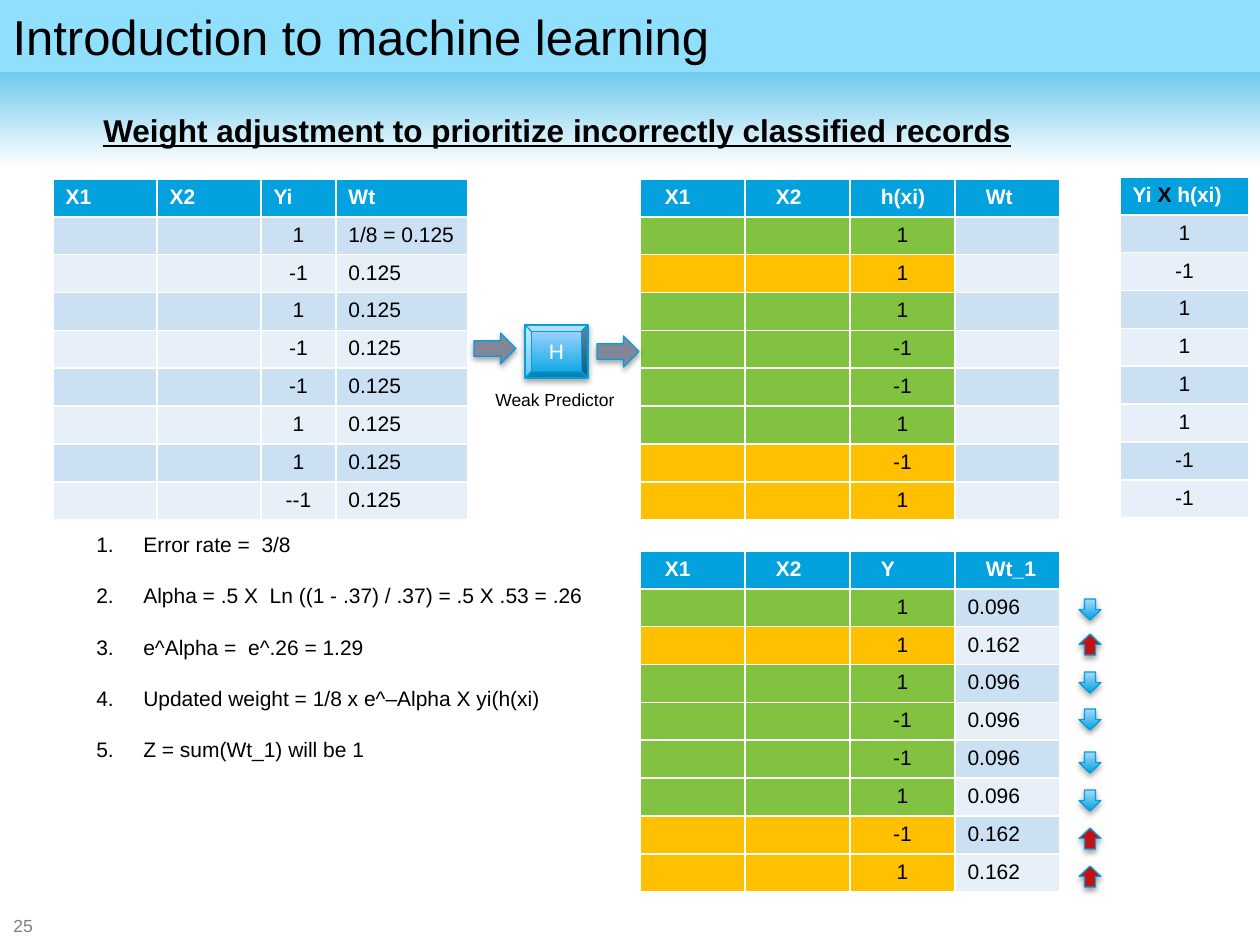
from lxml.etree import SubElement
from pptx import Presentation
from pptx.dml.color import RGBColor
from pptx.enum.shapes import MSO_SHAPE as Kind
from pptx.enum.text import MSO_ANCHOR as Anchor, MSO_AUTO_SIZE as Auto, PP_ALIGN as Align
from pptx.oxml.ns import qn
from pptx.util import Emu, Pt

SCALE = 914400 / 126
HEAD, DARK, LIGHT = "03A2DF", "CCE0F3", "E7F0F9"
RIGHT, WRONG = "81C240", "FFC000"
GLOSS = ("00A3E2", "ADD8FF")
ROWS = 9

LABELS = ["1", "-1", "1", "-1", "-1", "1", "1", "--1"]
GUESSES = ["1", "1", "1", "-1", "-1", "1", "-1", "1"]
PRODUCTS = ["1", "-1", "1", "1", "1", "1", "-1", "-1"]
WEIGHTS = ["0.096" if sign == "1" else "0.162" for sign in PRODUCTS]
ARROW_TOPS = [599, 634, 672, 709, 752, 790, 828, 866]
STEPS = [
    "Error rate =  3/8",
    "Alpha = .5 X  Ln ((1 - .37) / .37) = .5 X .53 = .26",
    "e^Alpha =  e^.26 = 1.29",
    "Updated weight = 1/8 x e^–Alpha X yi(h(xi)",
    "Z = sum(Wt_1) will be 1",
]


def px(num):
    return Emu(round(num * SCALE))


def rgb(code):
    return RGBColor.from_string(code)


def style(run, size, color="000000", bold=False):
    font = run.font
    font.name, font.size, font.bold = "Arial", Pt(size), bold
    font.color.rgb = rgb(color)


def blend(fill, colors, angle):
    """Linear gradient; the angle runs counter-clockwise."""
    fill.gradient()
    fill.gradient_angle = angle
    for stop, color, pos in zip(fill.gradient_stops, colors, (0, 1)):
        stop.color.rgb = rgb(color)
        stop.position = pos


def shade(shape):
    """Add a soft shadow just below the shape."""
    effects = shape.element.spPr.find(qn("a:effectLst"))
    outer = SubElement(effects, qn("a:outerShdw"), blurRad="40000", dist="23000",
                       dir="5400000", rotWithShape="0")
    color = SubElement(outer, qn("a:srgbClr"), val="000000")
    SubElement(color, qn("a:alpha"), val="35000")


def block(slide, kind, box, color=None):
    """Outlined shape with a shadow, glossy blue unless a colour is given."""
    shape = slide.shapes.add_shape(kind, *map(px, box))
    if color:
        shape.fill.solid()
        shape.fill.fore_color.rgb = rgb(color)
    else:
        blend(shape.fill, GLOSS, 90)
    shape.line.color.rgb = rgb("00A0DD")
    shape.line.width = Pt(0.75)
    shape.shadow.inherit = False
    shade(shape)
    return shape


def label(slide, box, text, size, color="000000", bold=False):
    frame = slide.shapes.add_textbox(*map(px, box)).text_frame
    frame.word_wrap = True
    frame.text = text
    for para in frame.paragraphs:
        style(para.runs[0], size, color, bold)
    return frame


def number(frame):
    """Turn the paragraphs into a spaced numbered list."""
    for i, para in enumerate(frame.paragraphs):
        para.space_before = Pt(15 if i else 0)
        props = para._p.get_or_add_pPr()
        props.set("marL", str(px(47)))
        props.set("indent", str(-px(47)))
        SubElement(props, qn("a:buAutoNum"), type="arabicPeriod")


def fill_cell(cell, text, fill, color="000000", bold=False):
    cell.fill.solid()
    cell.fill.fore_color.rgb = rgb(fill)
    para = cell.text_frame.paragraphs[0]
    if text:
        para.text = text
        style(para.runs[0], 12, color, bold)
    else:
        para._p.get_or_add_endParaRPr().set("sz", "1200")
    return para


def grid(slide, left, top, widths, heads, cols, pads=None, marked=False):
    """Striped table; marked ones colour the first three columns by outcome."""
    high = 340
    table = slide.shapes.add_table(ROWS, len(widths), px(left), px(top),
                                   px(sum(widths)), px(high)).table
    for col, width in zip(table.columns, widths):
        col.width = px(width)
    for row in table.rows:
        row.height = px(high / ROWS)
    for c, (head, col) in enumerate(zip(heads, cols)):
        cell = table.cell(0, c)
        fill_cell(cell, head, HEAD, "FFFFFF", True)
        if pads:
            cell.margin_left = px(13 + pads[c])
        for r, text in enumerate(col):
            fill = LIGHT if r % 2 else DARK
            if marked and c < 3:
                fill = RIGHT if PRODUCTS[r] == "1" else WRONG
            para = fill_cell(table.cell(r + 1, c), text, fill)
            para.alignment = Align.LEFT if c == 3 else Align.CENTER
    return table


def header(slide):
    title = slide.shapes.title
    band = slide.shapes.add_shape(Kind.RECTANGLE, 0, 0, px(1260), px(168))
    blend(band.fill, (HEAD, "FFFFFF"), 270)
    band.line.fill.background()
    band.shadow.inherit = False
    title.element.addprevious(band.element)

    title.left, title.top, title.width, title.height = map(px, (0, 0, 1260, 72))
    title.fill.solid()
    title.fill.fore_color.rgb = rgb("8FDFFD")
    frame = title.text_frame
    frame.text = "Introduction to machine learning"
    frame.auto_size = Auto.NONE
    frame.vertical_anchor = Anchor.TOP
    frame.paragraphs[0].alignment = Align.LEFT
    style(frame.paragraphs[0].runs[0], 28)


def predictor(slide):
    frame = block(slide, Kind.BEVEL, (525, 325, 63, 53)).text_frame
    frame.margin_left = frame.margin_right = frame.margin_top = frame.margin_bottom = 0
    frame.vertical_anchor = Anchor.MIDDLE
    frame.text = "H"
    frame.paragraphs[0].alignment = Align.CENTER
    style(frame.paragraphs[0].runs[0], 12, "FFFFFF")
    for left, top in ((474, 333), (597, 336)):
        block(slide, Kind.RIGHT_ARROW, (left, top, 42, 31), "838598")
    label(slide, (483, 383, 156, 34), "Weak Predictor", 10)


def tables(slide):
    blank = [""] * (ROWS - 1)
    first = ["1/8 = 0.125"] + ["0.125"] * (ROWS - 2)
    grid(slide, 53, 179, (104, 104, 75, 132), ("X1", "X2", "Yi", "Wt"),
         (blank, blank, LABELS, first))
    wide, pads = (105,) * 4, (12, 18, 18, 18)
    grid(slide, 640, 179, wide, ("X1", "X2", "h(xi)", "Wt"),
         (blank, blank, GUESSES, blank), pads, True)
    grid(slide, 640, 551, wide, ("X1", "X2", "Y", "Wt_1"),
         (blank, blank, GUESSES, WEIGHTS), pads, True)
    product = grid(slide, 1120, 177, (129,), ("Yi ",), (PRODUCTS,))
    para = product.cell(0, 0).text_frame.paragraphs[0]
    for text, color in (("X", "000000"), (" h(xi)", "FFFFFF")):
        run = para.add_run()
        run.text = text
        style(run, 12, color, True)


def main():
    prs = Presentation()
    prs.slide_width, prs.slide_height = px(1260), px(945)
    slide = prs.slides.add_slide(prs.slide_layouts[5])
    header(slide)
    page = label(slide, (1, 916, 49, 20), "25", 10, "808080")
    page.margin_top = page.margin_bottom = 0
    page.vertical_anchor = Anchor.MIDDLE
    topic = label(slide, (91, 105, 990, 50),
                  "Weight adjustment to prioritize incorrectly classified records", 18, bold=True)
    topic.paragraphs[0].runs[0].font.underline = True
    tables(slide)
    predictor(slide)
    number(label(slide, (84, 525, 1124, 289), "\n".join(STEPS), 12))
    for top, weight in zip(ARROW_TOPS, WEIGHTS):
        rises = weight == "0.162"
        arrow = block(slide, Kind.DOWN_ARROW, (1079, top, 22, 21), "C41013" if rises else None)
        arrow.rotation = 180 if rises else 0
    prs.save("out.pptx")


if __name__ == "__main__":
    main()
